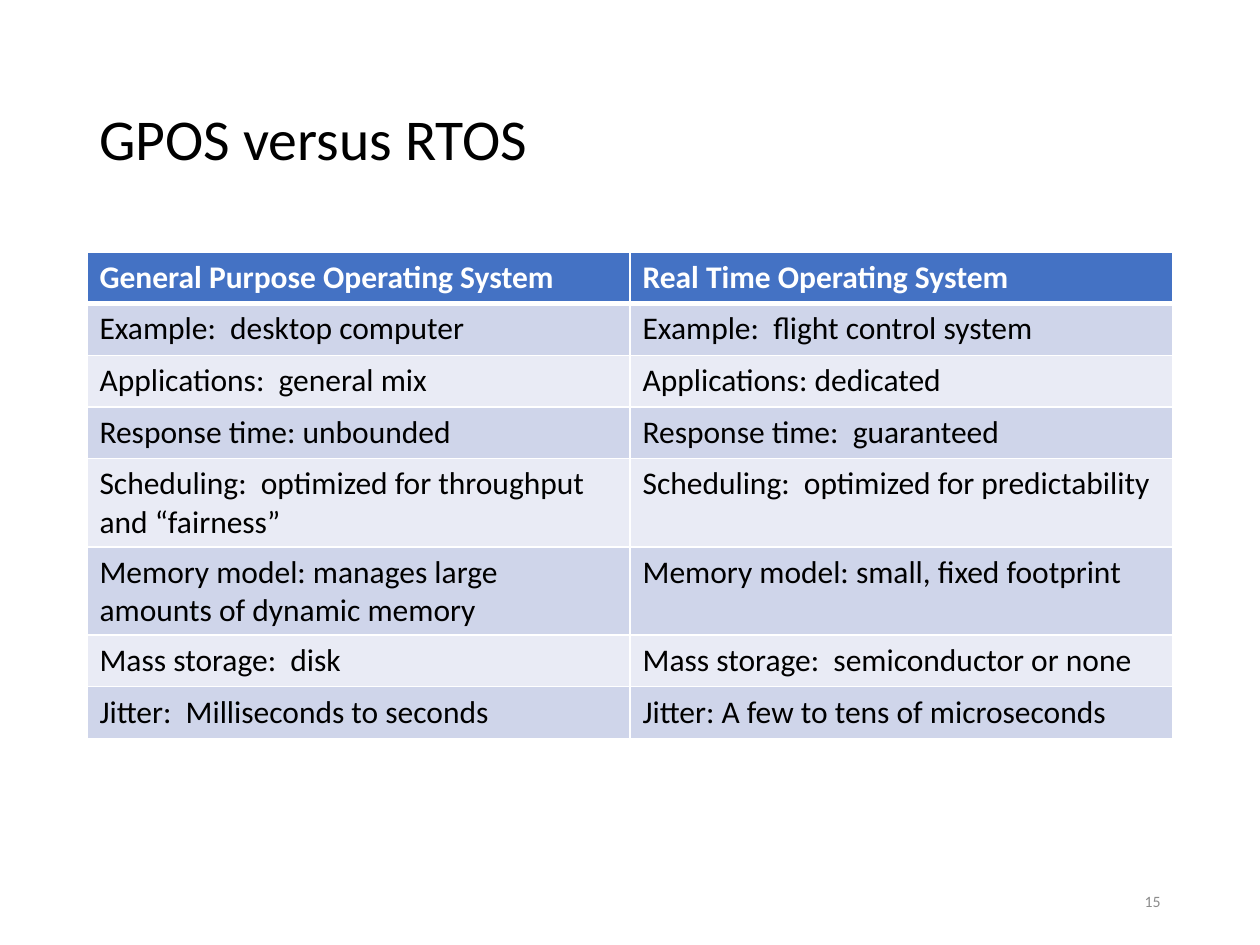
"""Build a slide comparing general purpose and real time operating systems."""
from lxml.etree import SubElement
from pptx import Presentation
from pptx.dml.color import RGBColor as Color
from pptx.enum.text import MSO_ANCHOR as Anchor, PP_ALIGN as Align
from pptx.oxml.ns import qn
from pptx.util import Inches, Pt

COLORS = {"header": "4472C4", "odd": "CFD5EA", "even": "E9EBF5",
          "white": "FFFFFF", "black": "000000", "gray": "8C8C8C"}
ROWS = [
    ("General Purpose Operating System", "Real Time Operating System"),
    ("Example:  desktop computer", "Example:  flight control system"),
    ("Applications:  general mix", "Applications: dedicated"),
    ("Response time: unbounded", "Response time:  guaranteed"),
    ("Scheduling:  optimized for throughput and “fairness”",
     "Scheduling:  optimized for predictability"),
    ("Memory model: manages large amounts of dynamic memory",
     "Memory model: small, fixed footprint"),
    ("Mass storage:  disk", "Mass storage:  semiconductor or none"),
    ("Jitter:  Milliseconds to seconds", "Jitter: A few to tens of microseconds"),
]


def write(frame, text, size, color="black", bold=False, align=Align.LEFT,
          spacing=0, line_spacing=1.0):
    frame.word_wrap = True
    paragraph = frame.paragraphs[0]
    paragraph.alignment = align
    paragraph.space_before = paragraph.space_after = Pt(spacing)
    paragraph.line_spacing = line_spacing
    run = paragraph.add_run()
    run.text = text
    run.font.name = "Calibri"
    run.font.size = Pt(size)
    run.font.bold = bold
    run.font.color.rgb = Color.from_string(COLORS[color])


def add_border(cell, side, width):
    line = SubElement(cell._tc.get_or_add_tcPr(), qn(f"a:ln{side}"), w=str(Pt(width)))
    fill = SubElement(line, qn("a:solidFill"))
    SubElement(fill, qn("a:srgbClr"), val=COLORS["white"])


presentation = Presentation()
presentation.slide_width, presentation.slide_height = Inches(10), Inches(7.5)
slide = presentation.slides.add_slide(presentation.slide_layouts[6])

margin = Inches(0.69)
content_width = presentation.slide_width - 2 * margin
row_height = Inches(0.41)

title = slide.shapes.add_textbox(margin, Inches(0.4), content_width, Inches(1.45))
title.text_frame.vertical_anchor = Anchor.MIDDLE
write(title.text_frame, "GPOS versus RTOS", 33, line_spacing=0.9)

table = slide.shapes.add_table(len(ROWS), 2, margin, Inches(2), content_width,
                               row_height * len(ROWS)).table
for row_index, texts in enumerate(ROWS):
    is_header = row_index == 0
    table.rows[row_index].height = row_height
    band = "header" if is_header else "odd" if row_index % 2 else "even"
    for column_index, text in enumerate(texts):
        cell = table.cell(row_index, column_index)
        for side in "LRTB":
            below_header = (is_header and side == "B") or (row_index == 1 and side == "T")
            add_border(cell, side, 3 if below_header else 1)
        cell.fill.solid()
        cell.fill.fore_color.rgb = Color.from_string(COLORS[band])
        write(cell.text_frame, text, 18, color="white" if is_header else "black",
              bold=is_header, spacing=2)

number_width = Inches(2.25)
number = slide.shapes.add_textbox(margin + content_width - number_width, Inches(6.95),
                                  number_width, Inches(0.4))
number.text_frame.vertical_anchor = Anchor.MIDDLE
write(number.text_frame, "15", 9, color="gray", align=Align.RIGHT)

presentation.save("out.pptx")
